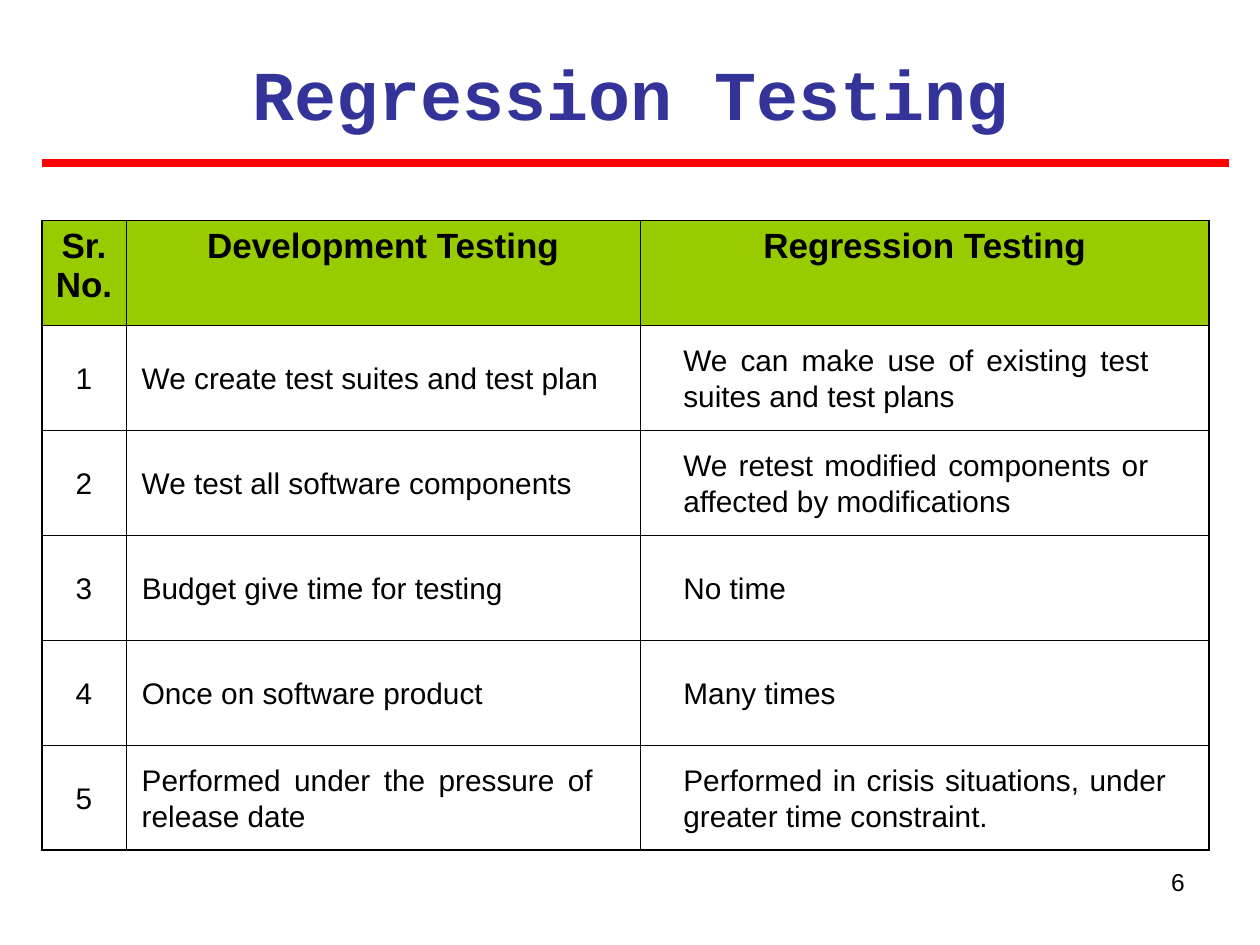
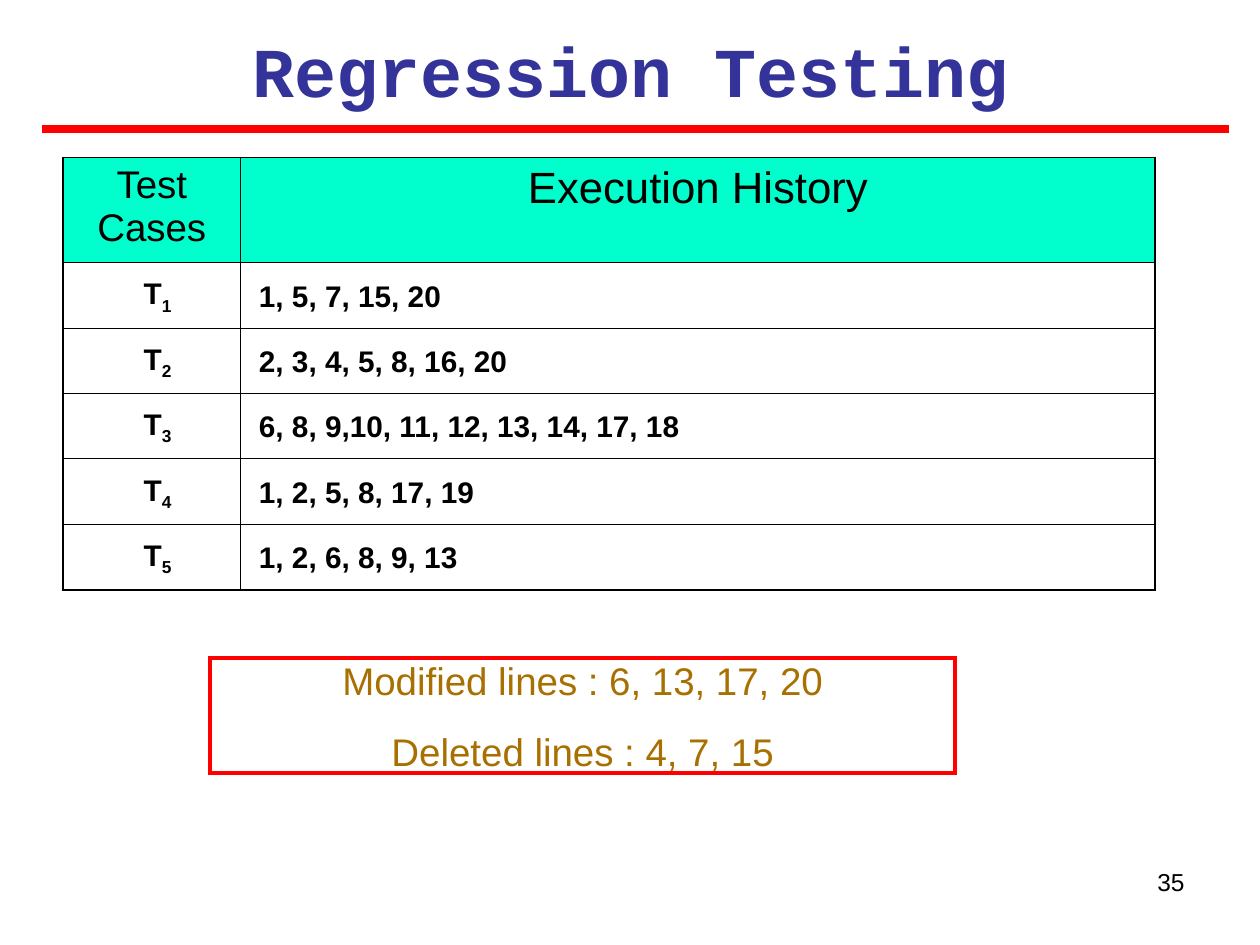
from lxml import etree
from pptx import Presentation
from pptx.dml.color import RGBColor
from pptx.enum.shapes import MSO_CONNECTOR as CONN, MSO_SHAPE as SHAPE
from pptx.enum.text import MSO_ANCHOR as ANCHOR, PP_ALIGN as ALIGN
from pptx.oxml.ns import qn
from pptx.util import Pt

COLORS = {
    "title": "333399", "rule": "FF0000", "text": "000000", "border": "000000",
    "green": "99CC00", "mint": "00FFCC", "note": "A87000",
}
BODY_SIZE = 17
THICK, THIN = 1.08, 0.45
INSET = (7.2, 3.6, 7.2, 3.6)


def rgb(name):
    return RGBColor.from_string(COLORS[name])


class Deck:
    """Shared style and the slide being built."""

    def __init__(self):
        self.prs = Presentation()
        self.prs.slide_width, self.prs.slide_height = Pt(720), Pt(540)
        self.s = None

    def style(self, p, size=BODY_SIZE, color="text", bold=False,
              align=ALIGN.LEFT, font="Arial"):
        p.alignment = align
        f = p.font
        f.name, f.size, f.bold = font, Pt(size), bold
        f.color.rgb = rgb(color)

    def frame(self, tf, anchor, margins=(0, 0, 0, 0)):
        tf.word_wrap, tf.vertical_anchor = True, anchor
        (tf.margin_left, tf.margin_top,
         tf.margin_right, tf.margin_bottom) = map(Pt, margins)

    def slide(self, title, number, title_top, rule_y):
        self.s = self.prs.slides.add_slide(self.prs.slide_layouts[5])
        # Title
        sp = self.s.shapes.title
        sp.left, sp.top, sp.width, sp.height = map(Pt, (24, title_top, 672, 55.4))
        self.frame(sp.text_frame, ANCHOR.TOP, INSET)
        sp.text_frame.text = title
        self.style(sp.text_frame.paragraphs[0], 40, "title", True,
                   ALIGN.CENTER, "Courier New")
        # Red rule and slide number
        self.rule(24, rule_y, 702)
        self.text(number, 516, 492, 168, 37.4, size=14, align=ALIGN.RIGHT,
                  anchor=ANCHOR.TOP, margins=INSET)

    def rule(self, x1, y, x2):
        line = self.s.shapes.add_connector(CONN.STRAIGHT, Pt(x1), Pt(y), Pt(x2), Pt(y))
        line.line.color.rgb, line.line.width = rgb("rule"), Pt(4.5)
        etree.SubElement(line._element.spPr, qn("a:effectLst"))

    def text(self, text, x, y, w, h, sub=None, anchor=ANCHOR.MIDDLE,
             margins=(0, 0, 0, 0), **look):
        tf = self.s.shapes.add_textbox(Pt(x), Pt(y), Pt(w), Pt(h)).text_frame
        self.frame(tf, anchor, margins)
        p = tf.paragraphs[0]
        p.add_run().text = text
        if sub:
            r = p.add_run()
            r.text = sub
            r.font._element.set("baseline", "-25000")
        self.style(p, **look)

    def row_text(self, text, x, w, row_y, row_h, h=20, **look):
        """Text centred on the height of a table row."""
        self.text(text, x, row_y + (row_h - h) / 2, w, h, **look)

    def box(self, lines, x, y, w, h):
        sp = self.s.shapes.add_shape(SHAPE.RECTANGLE, Pt(x), Pt(y), Pt(w), Pt(h))
        sp.shadow.inherit = False
        sp.fill.background()
        sp.line.color.rgb, sp.line.width = rgb("rule"), Pt(2.25)
        # Square corners
        etree.SubElement(sp._element.spPr.find(qn("a:ln")), qn("a:miter"), lim="800000")
        tf = sp.text_frame
        self.frame(tf, ANCHOR.MIDDLE)
        tf.text = "\n".join(lines)
        for i, p in enumerate(tf.paragraphs):
            if i:
                p.space_before = Pt(13.8)
            self.style(p, 22, "note", align=ALIGN.CENTER)

    def table(self, x, y, widths, heights, headers, fill, bold=False):
        """Ruled grid with a filled header row; headers are (text, size)."""
        n_rows, n_cols = len(heights), len(widths)
        table = self.s.shapes.add_table(n_rows, n_cols, Pt(x), Pt(y), Pt(sum(widths)),
                                        Pt(sum(heights))).table
        table.first_row = table.horz_banding = False
        for col, w in zip(table.columns, widths):
            col.width = Pt(w)
        for row, h in zip(table.rows, heights):
            row.height = Pt(h)
        for i in range(n_rows):
            for j in range(n_cols):
                cell = table.cell(i, j)
                self.borders(cell, L=j == 0, R=j == n_cols - 1,
                             T=i == 0, B=i == n_rows - 1)
                if i:
                    cell.fill.background()
                    continue
                cell.fill.solid()
                cell.fill.fore_color.rgb = rgb(fill)
                cell.text, size = headers[j]
                self.style(cell.text_frame.paragraphs[0], size, bold=bold,
                           align=ALIGN.CENTER)

    def borders(self, cell, **outer):
        tcPr = cell._tc.get_or_add_tcPr()
        for side, is_outer in outer.items():
            ln = etree.SubElement(tcPr, qn(f"a:ln{side}"),
                                  w=str(int(Pt(THICK if is_outer else THIN))))
            solid = etree.SubElement(ln, qn("a:solidFill"))
            etree.SubElement(solid, qn("a:srgbClr"), val=COLORS["border"])


def comparison_slide(deck):
    deck.slide("Regression Testing", "6", 25.2, 93)
    top, row_h = 126, 60
    deck.table(24, top, (48, 294, 325), [row_h] * 6,
               [("Sr.\vNo.", 20), ("Development Testing", 20), ("Regression Testing", 20)],
               "green", bold=True)
    # Each entry: text, width, number of lines
    rows = [
        (("We create test suites and test plan", 266, 1),
         ("We can make use of existing test suites and test plans", 266, 2)),
        (("We test all software components", 266, 1),
         ("We retest modified components or affected by modifications", 266, 2)),
        (("Budget give time for testing", 214, 1), ("No time", 214, 1)),
        (("Once on software product", 212, 1), ("Many times", 212, 1)),
        (("Performed under the pressure of release date", 258, 2),
         ("Performed in crisis situations, under greater time constraint.", 276, 2)),
    ]
    for i, entries in enumerate(rows, 1):
        y = top + i * row_h
        deck.row_text(str(i), 32.4, 31, y, row_h, align=ALIGN.CENTER)
        for x, (text, w, lines) in zip((81, 390.5), entries):
            deck.row_text(text, x, w, y, row_h, h=20.5 * lines,
                          align=ALIGN.JUSTIFY if lines > 1 else ALIGN.LEFT)


def history_slide(deck):
    deck.slide("Regression Testing", "35", 12.2, 73.5)
    top, header_h, row_h = 90, 60, 37.4
    history = ["1, 5, 7, 15, 20", "2, 3, 4, 5, 8, 16, 20",
               "6, 8, 9,10, 11, 12, 13, 14, 17, 18",
               "1, 2, 5, 8, 17, 19", "1, 2, 6, 8, 9, 13"]
    deck.table(36, top, (101.5, 522.5), [header_h] + [row_h] * len(history),
               [("Test Cases", 22), ("Execution History", 25)], "mint")
    for i, executed in enumerate(history):
        y = top + header_h + i * row_h
        deck.row_text("T", 66, 48, y, row_h, h=23, sub=str(i + 1), bold=True,
                      align=ALIGN.CENTER)
        deck.row_text(executed, 148, 488, y, row_h, bold=True)
    # Changed lines
    deck.box(["Modified lines : 6, 13, 17, 20", "Deleted lines : 4, 7, 15"],
             120, 376, 426, 66)


def main():
    deck = Deck()
    comparison_slide(deck)
    history_slide(deck)
    deck.prs.save("out.pptx")


if __name__ == "__main__":
    main()
